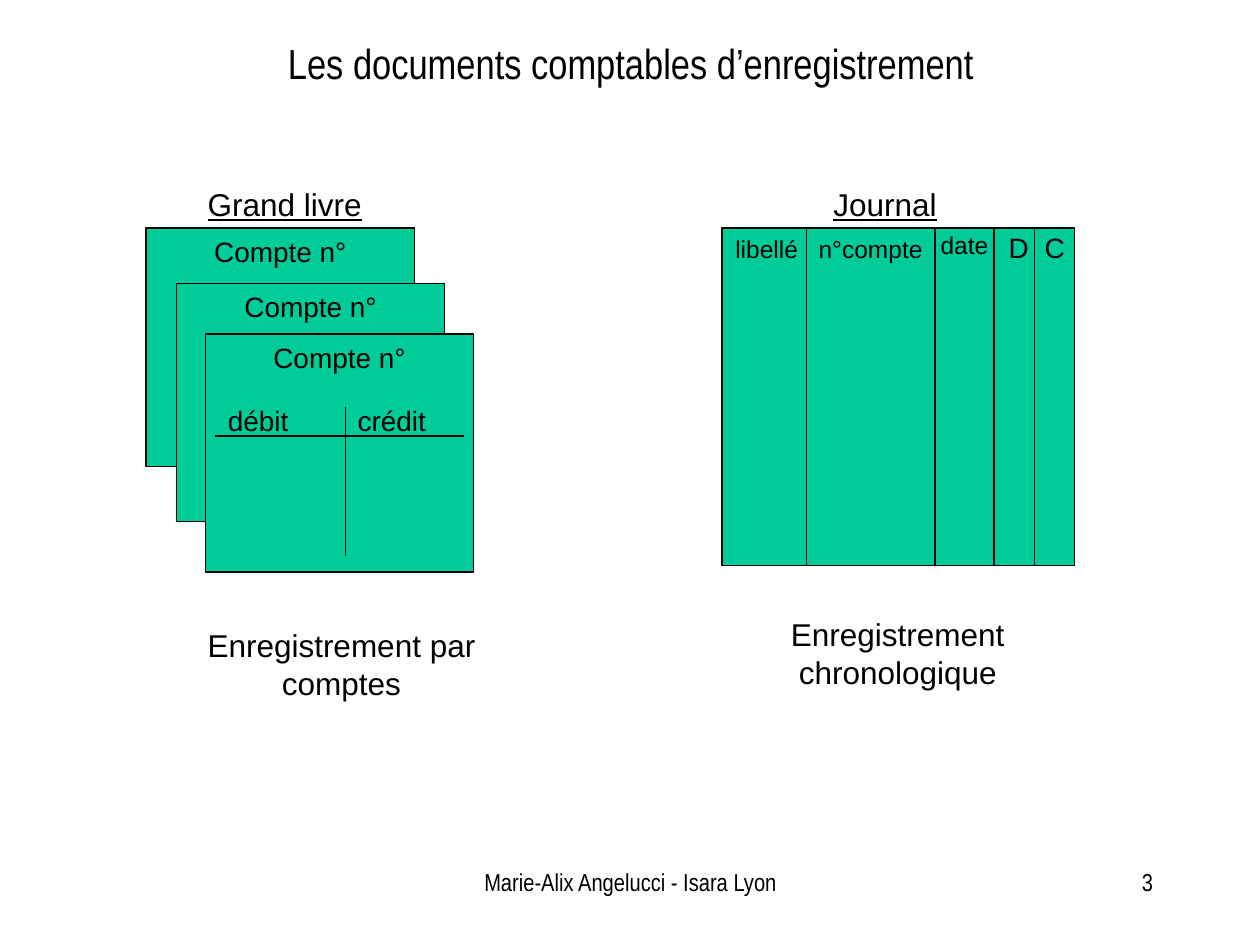
import pptx
import pptx.util
import pptx.dml.color
import pptx.enum.shapes
import pptx.enum.text
import pptx.oxml
from pptx.util import Inches

BLACK = pptx.dml.color.RGBColor(0x00, 0x00, 0x00)
WHITE = pptx.dml.color.RGBColor(0xFF, 0xFF, 0xFF)
GREEN = pptx.dml.color.RGBColor(0x00, 0xCC, 0x99)
ALIGN = pptx.enum.text.PP_ALIGN
ANCHOR = pptx.enum.text.MSO_ANCHOR

TITLE = "Les documents comptables d’enregistrement"

# Ledger: three stacked account sheets, the front one with a T account
ACCOUNT_LABEL = "Compte n°"
ACCOUNT_CORNERS = [(1.16, 1.81), (1.4, 2.25), (1.63, 2.65)]
ACCOUNT_SIZE = (2.13, 1.89)
T_ACCOUNT_LINES = [(2.74, 3.23, 2.74, 4.41), (1.71, 3.46, 3.68, 3.46)]
T_ACCOUNT_SIDES = [("débit", 1.71), ("crédit", 2.74)]

# Journal: one sheet divided into columns
JOURNAL = (5.73, 1.81, 2.8, 2.68)
JOURNAL_DIVIDERS = [6.4, 7.42, 7.89, 8.21]
# header, left, top, width, size in points
JOURNAL_HEADERS = [
    ("libellé", 5.73, 1.81, 0.71, 14),
    ("n°compte", 6.4, 1.81, 1.02, 14),
    ("date", 7.34, 1.78, 0.63, 14),
    ("D", 7.89, 1.78, 0.39, 16),
    ("C", 8.21, 1.78, 0.32, 16),
]

# text, box, format
CAPTIONS = [
    ("Grand livre", (1.08, 1.42, 2.36, 0.4), {"underline": True}),
    ("Journal", (6.08, 1.42, 1.89, 0.4), {"underline": True}),
    ("Enregistrement par comptes", (1.42, 4.92, 2.58, 0.7), {}),
    ("Enregistrement chronologique", (5.75, 4.83, 2.75, 0.7), {}),
    ("Marie-Alix Angelucci - Isara Lyon", (3.42, 6.83, 3.17, 0.5),
     {"size": 14, "font": "Arial Narrow"}),
    ("3", (7.17, 6.83, 2.08, 0.5),
     {"size": 14, "font": "Arial Narrow", "align": ALIGN.RIGHT}),
]


def write(shape, text, size=18, font="Arial", align=ALIGN.CENTER,
          anchor=ANCHOR.TOP, underline=None, wrap=True):
    frame = shape.text_frame
    frame.auto_size = pptx.enum.text.MSO_AUTO_SIZE.NONE
    frame.word_wrap = wrap
    frame.vertical_anchor = anchor
    paragraph = frame.paragraphs[0]
    paragraph.alignment = align
    run = paragraph.add_run()
    run.text = text
    run.font.size = pptx.util.Pt(size)
    run.font.name = font
    run.font.underline = underline
    run.font.color.rgb = BLACK


def add_label(slide, text, box, **text_format):
    write(slide.shapes.add_textbox(*map(Inches, box)), text, **text_format)


def add_sheet(slide, box):
    sheet = slide.shapes.add_shape(
        pptx.enum.shapes.MSO_SHAPE.RECTANGLE, *map(Inches, box))
    sheet.shadow.inherit = False
    sheet.fill.solid()
    sheet.fill.fore_color.rgb = GREEN
    sheet.line.color.rgb = BLACK
    sheet.line.width = pptx.util.Pt(0.75)
    return sheet


def add_rule(slide, ends):
    rule = slide.shapes.add_connector(
        pptx.enum.shapes.MSO_CONNECTOR.STRAIGHT, *map(Inches, ends))
    rule.line.color.rgb = BLACK
    rule.line.width = pptx.util.Pt(0.75)
    rule.element.spPr.append(pptx.oxml.parse_xml(
        '<a:effectLst xmlns:a='
        '"http://schemas.openxmlformats.org/drawingml/2006/main"/>'))


def add_title(slide):
    title = slide.shapes.title
    title.left, title.top = Inches(0.17), Inches(0.23)
    title.width, title.height = Inches(9.67), Inches(0.53)
    title.line.color.rgb = WHITE
    title.line.width = pptx.util.Pt(2.25)
    write(title, TITLE, size=24, font="Arial Narrow", anchor=ANCHOR.MIDDLE)


def add_ledger(slide):
    for corner in ACCOUNT_CORNERS:
        account = add_sheet(slide, corner + ACCOUNT_SIZE)
        write(account, ACCOUNT_LABEL, size=16, wrap=False)
    for ends in T_ACCOUNT_LINES:
        add_rule(slide, ends)
    for side, left in T_ACCOUNT_SIDES:
        add_label(slide, side, (left, 3.15, 0.95, 0.37), size=16,
                  align=ALIGN.LEFT)


def add_journal(slide):
    add_sheet(slide, JOURNAL)
    top, height = JOURNAL[1], JOURNAL[3]
    for x in JOURNAL_DIVIDERS:
        add_rule(slide, (x, top, x, top + height))
    for header, left, header_top, width, size in JOURNAL_HEADERS:
        add_label(slide, header, (left, header_top, width, 0.35), size=size,
                  wrap=False)


def main():
    deck = pptx.Presentation()
    deck.slide_width, deck.slide_height = Inches(10), Inches(7.5)
    slide = deck.slides.add_slide(deck.slide_layouts[5])
    add_title(slide)
    add_ledger(slide)
    add_journal(slide)
    for text, box, text_format in CAPTIONS:
        add_label(slide, text, box, **text_format)
    deck.save("out.pptx")


if __name__ == "__main__":
    main()
